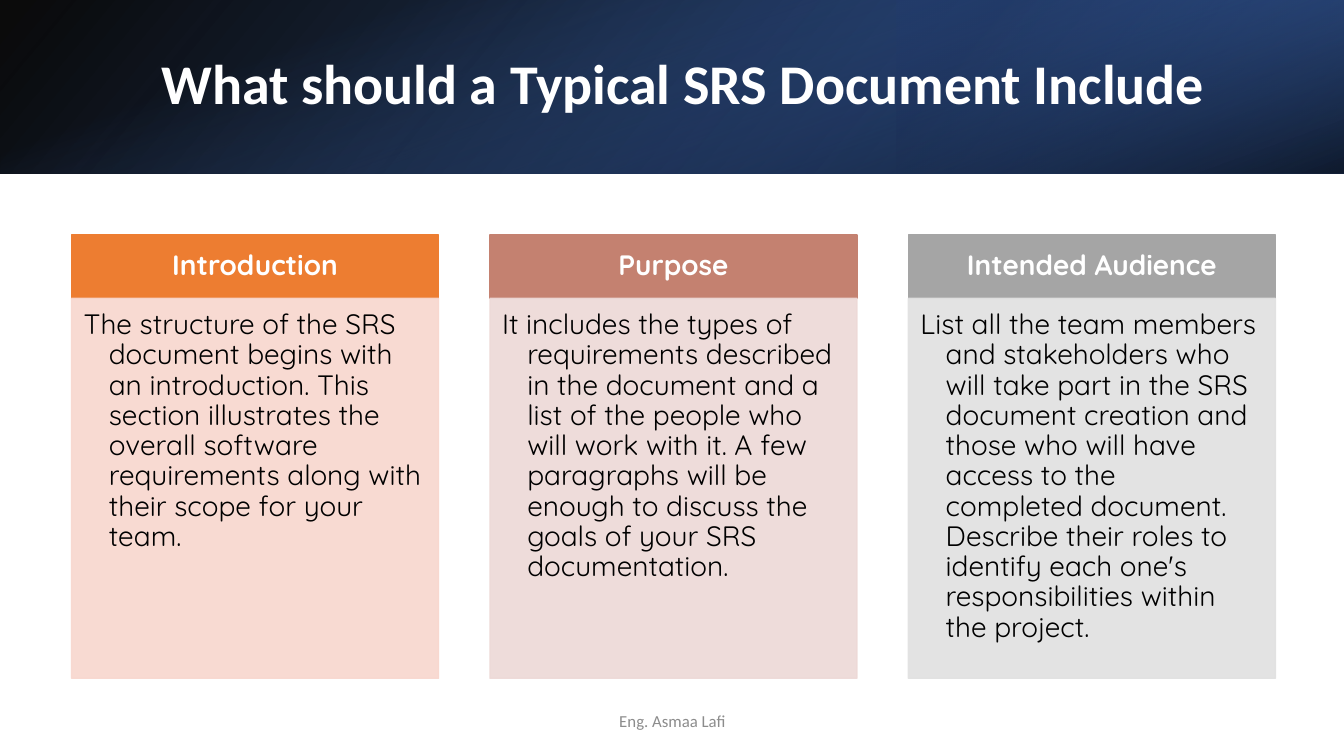
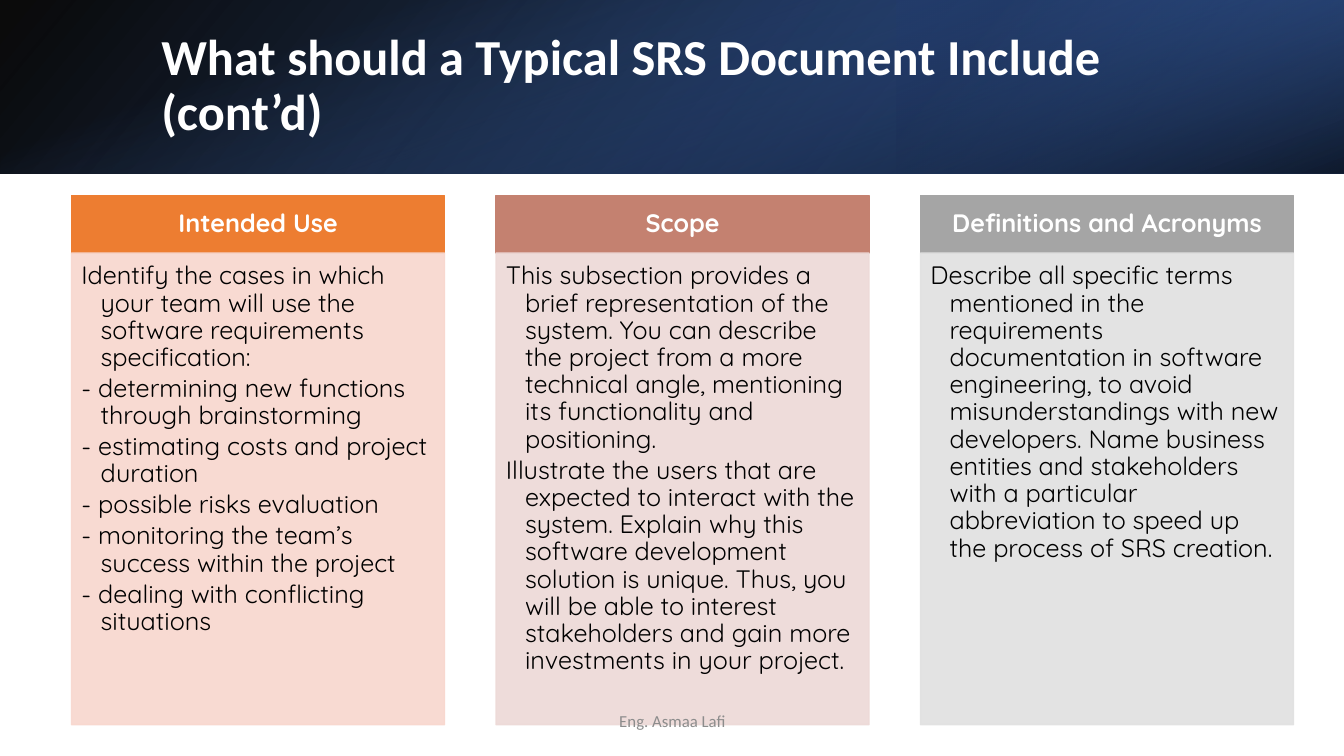
from dataclasses import dataclass

from pptx import Presentation
from pptx.dml.color import RGBColor
from pptx.enum.shapes import MSO_SHAPE
from pptx.enum.text import MSO_ANCHOR, MSO_AUTO_SIZE, PP_ALIGN
from pptx.oxml.ns import qn
from pptx.util import Inches, Pt

RECTANGLE = MSO_SHAPE.RECTANGLE
TOP, MIDDLE = MSO_ANCHOR.TOP, MSO_ANCHOR.MIDDLE
LEFT, CENTER = PP_ALIGN.LEFT, PP_ALIGN.CENTER
NO_AUTOFIT = MSO_AUTO_SIZE.NONE

BLACK = RGBColor(0x00, 0x00, 0x00)
WHITE = RGBColor(0xFF, 0xFF, 0xFF)
NAVY = RGBColor(0x20, 0x38, 0x64)
DARK_BLUE = RGBColor(0x2F, 0x55, 0x97)
BLUE = RGBColor(0x44, 0x72, 0xC4)
ORANGE = RGBColor(0xED, 0x7D, 0x31)
PALE_ORANGE = RGBColor(0xF8, 0xD7, 0xCE)
CLAY = RGBColor(0xC4, 0x81, 0x70)
PALE_CLAY = RGBColor(0xED, 0xD9, 0xD7)
GRAY = RGBColor(0xA5, 0xA5, 0xA5)
PALE_GRAY = RGBColor(0xE1, 0xE1, 0xE1)
FOOTER_GRAY = RGBColor(0x8C, 0x8C, 0x8C)

TITLE_FONT = "Calibri"
CARD_FONT = "Quicksand"
SLIDE_WIDTH, SLIDE_HEIGHT = 13.33, 7.5
BAND_HEIGHT = 1.72
CARD_LEFT, CARD_GAP = 0.71, 0.51
CARD_COLORS = [(ORANGE, PALE_ORANGE), (CLAY, PALE_CLAY), (GRAY, PALE_GRAY)]
TITLE_ONLY = 5


@dataclass
class CardStyle:
    top: float
    width: float
    header_height: float
    body_height: float
    size: int
    header_insets: tuple
    body_insets: tuple
    indent: float


LARGE_CARDS = CardStyle(2.33, 3.64, 0.63, 3.77, 20,
                        (0.16, 0.09, 0.16, 0.09), (0.12, 0.12, 0.16, 0.17), 0.25)
TALL_CARDS = CardStyle(1.94, 3.7, 0.57, 4.68, 18,
                       (0.14, 0.08, 0.14, 0.08), (0.1, 0.1, 0.14, 0.16), 0.19)


class SlideBuilder:
    def __init__(self):
        self.deck = Presentation()
        self.deck.slide_width = Inches(SLIDE_WIDTH)
        self.deck.slide_height = Inches(SLIDE_HEIGHT)
        self.page = None

    def start(self, title, size):
        self.page = self.deck.slides.add_slide(self.deck.slide_layouts[TITLE_ONLY])
        self.bands()
        self.title(title, size)

    def rectangle(self, left, top, width, height):
        box = self.page.shapes.add_shape(
            RECTANGLE, Inches(left), Inches(top), Inches(width), Inches(height))
        box.shadow.inherit = False
        return box

    def opacity(self, box, percents):
        for color, percent in zip(box._element.spPr.iter(qn("a:srgbClr")), percents):
            alpha = color.makeelement(qn("a:alpha"), {"val": str(percent * 1000)})
            color.append(alpha)

    def gradient(self, left, top, width, height, stops, angle, rotation=0, flip=False):
        box = self.rectangle(left, top, width, height)
        box.rotation = rotation
        if flip:
            box._element.spPr.xfrm.set("flipH", "1")
        box.line.fill.background()
        box.fill.gradient()
        box.fill.gradient_angle = 360 - angle
        for stop, (position, color, _) in zip(box.fill.gradient_stops, stops):
            stop.position = position
            stop.color.rgb = color
        self.opacity(box, [percent for _, _, percent in stops])

    def bands(self):
        self.gradient(0, 0, SLIDE_WIDTH, BAND_HEIGHT,
                      [(0, BLACK, 96), (1, DARK_BLUE, 100)], 140, flip=True)
        self.gradient(8.89, 0, 4.44, BAND_HEIGHT,
                      [(0.19, NAVY, 68), (1, BLUE, 79)], 320, 180, True)
        offset = (SLIDE_WIDTH - BAND_HEIGHT) / 2
        self.gradient(offset, -offset, BAND_HEIGHT, SLIDE_WIDTH,
                      [(0.23, BLUE, 0), (0.99, BLACK, 74)], 340, 90)

    def add_text(self, box, texts, font, size, color, align=LEFT, anchor=MIDDLE,
                 bold=False, spacing=0.9, insets=(0.1, 0.05, 0.1, 0.05), indent=0):
        frame = box.text_frame
        frame.word_wrap = True
        frame.auto_size = NO_AUTOFIT
        frame.vertical_anchor = anchor
        (frame.margin_left, frame.margin_top,
         frame.margin_right, frame.margin_bottom) = map(Inches, insets)
        for index, text in enumerate(texts):
            para = frame.add_paragraph() if index else frame.paragraphs[0]
            para.alignment = align
            para.line_spacing = spacing
            if indent:
                para.space_after = Pt(0.15 * size)
                properties = para._p.get_or_add_pPr()
                properties.set("marL", str(Inches(indent)))
                properties.set("indent", str(-Inches(indent)))
            span = para.add_run()
            span.text = text
            span.font.name = font
            span.font.size = Pt(size)
            span.font.bold = bold
            span.font.color.rgb = color

    def title(self, text, size):
        box = self.page.shapes.title
        box.left, box.top = Inches(1.5), Inches(0.38)
        box.width, box.height = Inches(10.98), Inches(0.96)
        self.page.shapes._spTree.append(box._element)
        self.add_text(box, [text], TITLE_FONT, size, WHITE, bold=True)

    def panel(self, left, top, width, height, color, percent=100):
        box = self.rectangle(left, top, width, height)
        box.fill.solid()
        box.fill.fore_color.rgb = color
        box.line.color.rgb = color
        box.line.width = Pt(1)
        self.opacity(box, [percent, percent])
        return box

    def cards(self, style, contents):
        for index, (heading, texts) in enumerate(contents):
            strong, pale = CARD_COLORS[index]
            left = CARD_LEFT + index * (style.width + CARD_GAP)
            header = self.panel(left, style.top, style.width, style.header_height, strong)
            self.add_text(header, [heading], CARD_FONT, style.size, WHITE, CENTER,
                          bold=True, insets=style.header_insets)
            body = self.panel(left, style.top + style.header_height,
                              style.width, style.body_height, pale, 90)
            self.add_text(body, texts, CARD_FONT, style.size, BLACK, anchor=TOP,
                          insets=style.body_insets, indent=style.indent)

    def footer(self, text):
        box = self.page.shapes.add_textbox(
            Inches(4.42), Inches(6.95), Inches(4.5), Inches(0.4))
        self.add_text(box, [text], TITLE_FONT, 12, FOOTER_GRAY, CENTER, spacing=1.0)


SLIDES = [
    ("What should a Typical SRS Document Include", 40, LARGE_CARDS, [
        ("Introduction", [
            "The structure of the SRS document begins with an introduction. This section "
            "illustrates the overall software requirements along with their scope for "
            "your team."]),
        ("Purpose", [
            "It includes the types of requirements described in the document and a list "
            "of the people who will work with it. A few paragraphs will be enough to "
            "discuss the goals of your SRS documentation."]),
        ("Intended Audience", [
            "List all the team members and stakeholders who will take part in the SRS "
            "document creation and those who will have access to the completed document. "
            "Describe their roles to identify each one's responsibilities within the "
            "project."]),
    ]),
    ("What should a Typical SRS Document Include (cont’d)", 36, TALL_CARDS, [
        ("Intended Use", [
            "Identify the cases in which your team will use the software requirements "
            "specification:",
            "- determining new functions through brainstorming",
            "- estimating costs and project duration",
            "- possible risks evaluation",
            "- monitoring the team’s success within the project",
            "- dealing with conflicting situations"]),
        ("Scope", [
            "This subsection provides a brief representation of the system. You can "
            "describe the project from a more technical angle, mentioning its "
            "functionality and positioning.",
            "Illustrate the users that are expected to interact with the system. Explain "
            "why this software development solution is unique. Thus, you will be able to "
            "interest stakeholders and gain more investments in your project."]),
        ("Definitions and Acronyms", [
            "Describe all specific terms mentioned in the requirements documentation in "
            "software engineering, to avoid misunderstandings with new developers. Name "
            "business entities and stakeholders with a particular abbreviation to speed "
            "up the process of SRS creation."]),
    ]),
]


def main():
    builder = SlideBuilder()
    for title, size, style, contents in SLIDES:
        builder.start(title, size)
        builder.cards(style, contents)
        builder.footer("Eng. Asmaa Lafi")
    builder.deck.save("out.pptx")


if __name__ == "__main__":
    main()
